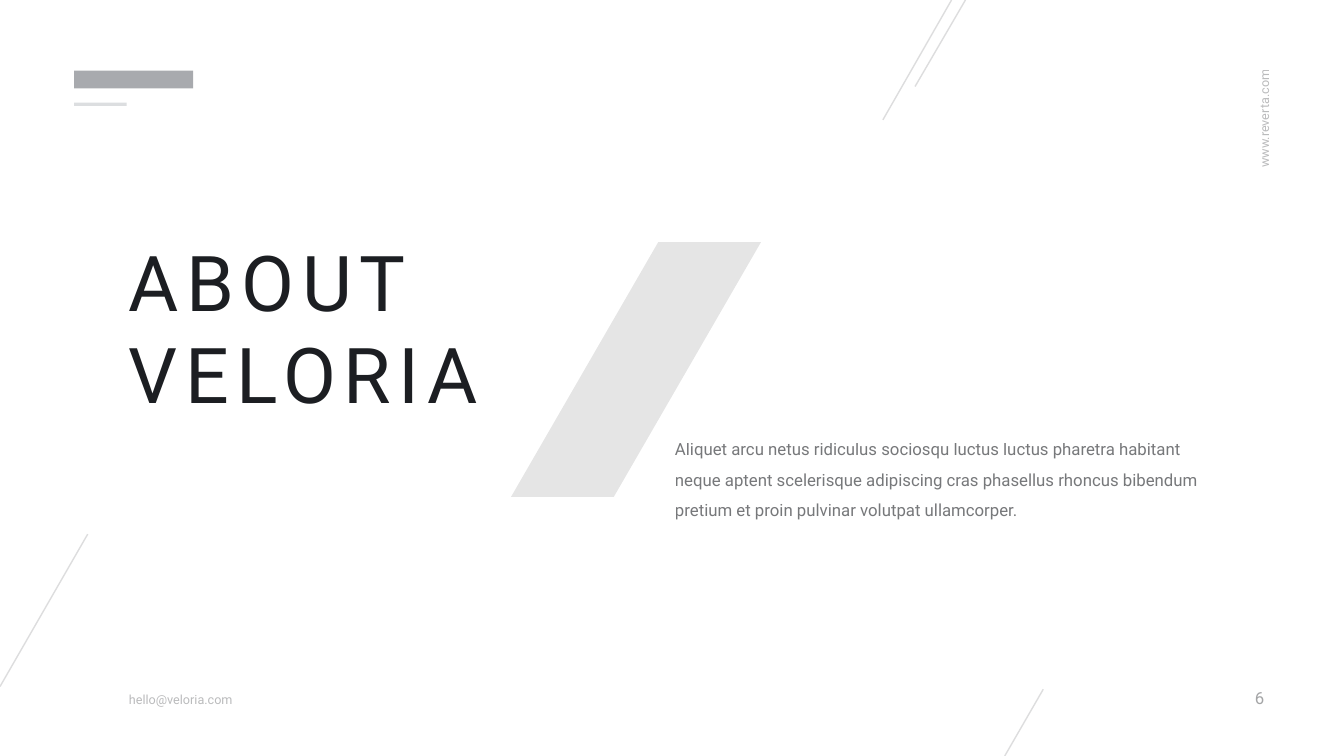
from dataclasses import dataclass

from lxml import etree
from pptx import Presentation
from pptx.dml.color import RGBColor
from pptx.enum.shapes import MSO_CONNECTOR, MSO_SHAPE
from pptx.enum.text import MSO_ANCHOR, MSO_AUTO_SIZE, PP_ALIGN
from pptx.oxml.ns import qn
from pptx.util import Cm, Pt

LEFT, RIGHT = PP_ALIGN.LEFT, PP_ALIGN.RIGHT
TOP, BOTTOM = MSO_ANCHOR.TOP, MSO_ANCHOR.BOTTOM
GROW = MSO_AUTO_SIZE.SHAPE_TO_FIT_TEXT
RECTANGLE, STRAIGHT = MSO_SHAPE.RECTANGLE, MSO_CONNECTOR.STRAIGHT


@dataclass(frozen=True)
class Theme:
    font: str = "Roboto"
    ink: RGBColor = RGBColor(0x1C, 0x1E, 0x22)
    soft: RGBColor = RGBColor(0xA8, 0xAA, 0xAE)
    rule: RGBColor = RGBColor(0xDC, 0xDE, 0xE0)
    band: RGBColor = RGBColor(0, 0, 0)
    title: float = 55
    body: float = 12
    small: float = 9


theme = Theme()


def set_opacity(element, percent):
    color = next(element.iter(qn("a:srgbClr")))
    etree.SubElement(color, qn("a:alpha")).set("val", str(percent * 1000))


def write(sp, lines, size, opacity=100, align=LEFT, anchor=TOP,
          wrap=False, line_spacing=1, tracking=0):
    """Fill a text shape with one paragraph per line."""
    tf = sp.text_frame
    tf.word_wrap = wrap
    tf.auto_size = GROW
    tf.vertical_anchor = anchor
    tf.margin_left = tf.margin_right = Cm(0.08)
    tf.margin_top = tf.margin_bottom = Cm(0.08)
    for i, text in enumerate(lines):
        p = tf.add_paragraph() if i else tf.paragraphs[0]
        p.alignment = align
        p.line_spacing = line_spacing
        r = p.add_run()
        r.text = text
        r.font.name = theme.font
        r.font.size = Pt(size)
        r.font.color.rgb = theme.ink
        if opacity < 100:
            set_opacity(r._r, opacity)
        if tracking:
            r._r.get_or_add_rPr().set("spc", str(tracking))


prs = Presentation()
prs.slide_width, prs.slide_height = Cm(33.87), Cm(19.05)
s = prs.slides.add_slide(prs.slide_layouts[5])

# Diagonal band
builder = s.shapes.build_freeform(Cm(16.59), Cm(6.1))
builder.add_line_segments(
    [(Cm(12.88), Cm(12.52)), (Cm(15.47), Cm(12.52)), (Cm(19.18), Cm(6.1))])
band = builder.convert_to_shape()
band.shadow.inherit = False
band.fill.solid()
band.fill.fore_color.rgb = theme.band
set_opacity(band.element, 10)
band.line.fill.background()

# Plain header block and the rule below it
header_bars = [
    ((1.87, 1.78, 3, 0.45), theme.soft),
    ((1.87, 2.59, 1.32, 0.08), theme.rule),
]
for box, color in header_bars:
    bar = s.shapes.add_shape(RECTANGLE, *[Cm(v) for v in box])
    bar.shadow.inherit = False
    bar.fill.solid()
    bar.fill.fore_color.rgb = color
    bar.line.fill.background()

# Thin diagonals
diagonals = [
    (0, 17.3, 2.21, 13.46),
    (25.32, 19.05, 26.29, 17.37),
    (22.25, 3.02, 23.98, 0),
    (23.06, 2.18, 24.33, 0),
]
for ends in diagonals:
    line = s.shapes.add_connector(STRAIGHT, *[Cm(v) for v in ends])
    line.line.width = Pt(1)
    line.line.color.rgb = theme.ink
    set_opacity(line.element, 15)
    etree.SubElement(line.element.spPr, qn("a:effectLst"))

# Title
title = s.shapes.title
title.left, title.top = Cm(3.16), Cm(5.79)
title.width, title.height = Cm(10.13), Cm(4.85)
write(title, ["ABOUT", "VELORIA"], theme.title, anchor=BOTTOM, tracking=550)

# Body text, contacts and page number
body = ("Aliquet arcu netus ridiculus sociosqu luctus luctus pharetra habitant "
        "neque aptent scelerisque adipiscing cras phasellus rhoncus bibendum "
        "pretium et proin pulvinar volutpat ullamcorper.")
texts = [
    ((16.93, 10.73, 13.56, 2.44), 0, body,
     dict(size=theme.body, opacity=60, wrap=True, line_spacing=1.5)),
    ((3.17, 17.35, 2.82, 0.53), 0, "hello@veloria.com",
     dict(size=theme.small, opacity=30)),
    ((30.53, 2.73, 2.64, 0.53), 270, "www.reverta.com",
     dict(size=theme.small, opacity=30, align=RIGHT)),
    ((30.81, 17.24, 1.13, 0.67), 0, "6",
     dict(size=theme.body, opacity=40, align=RIGHT, wrap=True)),
]
for box, rotation, text, style in texts:
    sp = s.shapes.add_textbox(*[Cm(v) for v in box])
    sp.rotation = rotation
    write(sp, [text], **style)

prs.save("out.pptx")
